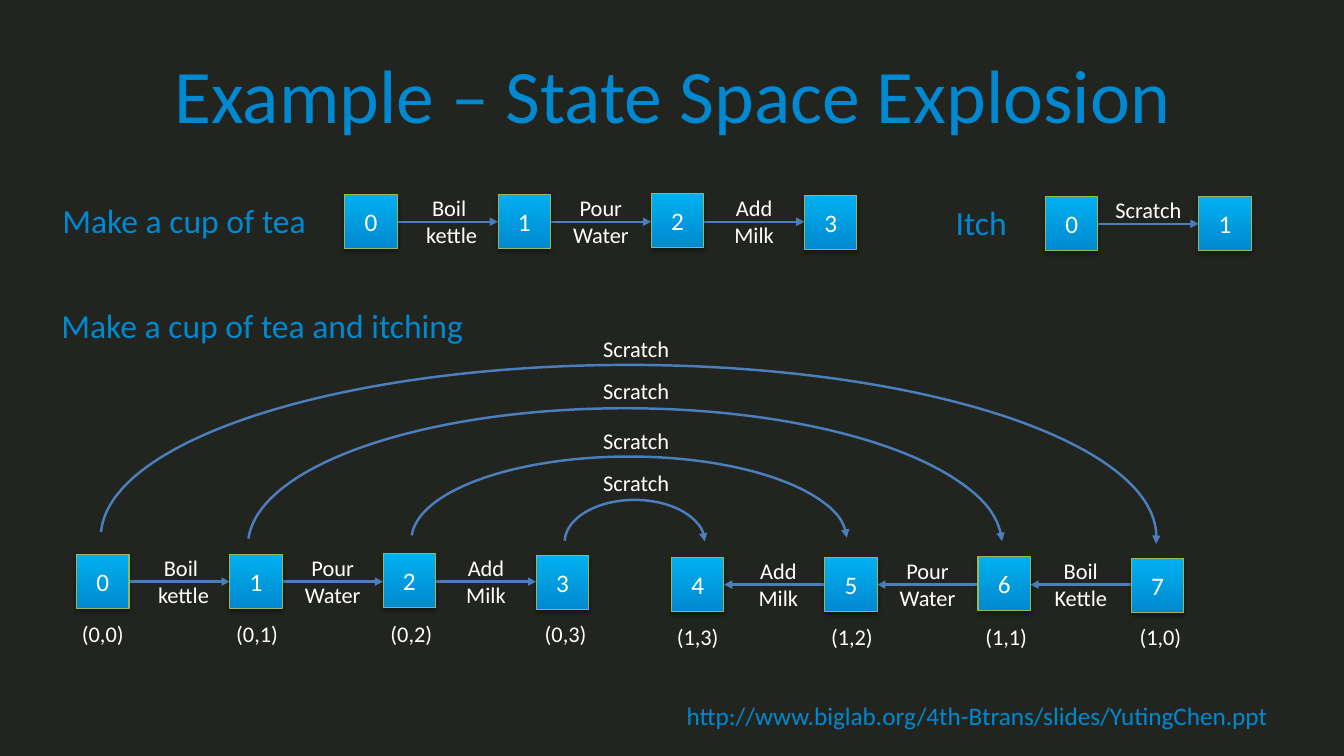
from dataclasses import dataclass

from lxml.etree import SubElement
from pptx import Presentation
from pptx.dml.color import RGBColor
from pptx.enum.shapes import MSO_CONNECTOR, MSO_SHAPE
from pptx.enum.text import MSO_ANCHOR, PP_ALIGN
from pptx.oxml.ns import qn
from pptx.util import Inches, Pt

FONT = "Calibri"
BACKGROUND = "222420"
BLUE = "0089D0"
LIGHT_BLUE = "00B0F0"
GREEN = "98B955"
ARROW_BLUE = "4B7EBC"
WHITE = "FFFFFF"
BOX_WIDTH = 0.52
BOX_HEIGHT = 0.54
STATE_PITCH = 1.52
CAPTION_PITCH = 1.53
STATE_SHIFTS = (0, 0, -0.01, 0.01)
LABEL_WIDTH = 0.86


@dataclass(frozen=True)
class Label:
    text: str
    left: float
    top: float
    width: float
    height: float
    size: float
    color: str
    align: PP_ALIGN = PP_ALIGN.LEFT
    anchor: MSO_ANCHOR = MSO_ANCHOR.TOP
    wrap: bool = False


@dataclass(frozen=True)
class Action:
    text: str
    nudge: float = 0


@dataclass(frozen=True)
class Chain:
    left: float
    top: float
    states: str
    actions: tuple[Action, ...]
    captions: tuple[str, ...] = ()
    backward: bool = False


@dataclass(frozen=True)
class ScratchArc:
    left: float
    top: float
    width: float
    height: float
    start: float
    end: float
    label_top: float


BOIL = Action("Boil \nkettle", 0.04)
POUR = Action("Pour\nWater")
ADD = Action("Add\nMilk")

LABELS = (
    Label("Example – State Space Explosion", 0.67, 0.3, 12, 1.25, 54, BLUE,
          PP_ALIGN.CENTER, MSO_ANCHOR.MIDDLE, True),
    Label("Make a cup of tea", 0.52, 1.93, 2.64, 0.5, 24, BLUE),
    Label("Itch", 9.38, 1.95, 0.71, 0.5, 24, BLUE),
    Label("Make a cup of tea and itching", 0.51, 2.98, 4.42, 0.5, 24, BLUE, wrap=True),
    Label("http://www.biglab.org/4th-Btrans/slides/YutingChen.ppt", 0.67, 6.9, 12, 0.38,
          18, BLUE, PP_ALIGN.RIGHT, wrap=True),
)

CHAINS = (
    Chain(3.42, 1.93, "0123", (BOIL, POUR, ADD)),
    Chain(10.37, 1.95, "01", (Action("Scratch"),)),
    Chain(0.76, 5.5, "0123", (BOIL, POUR, ADD), ("(0,0)", "(0,1)", "(0,2)", "(0,3)")),
    Chain(6.66, 5.53, "4567", (Action("Add\nMilk", 0.04), POUR, Action("Boil\nKettle")),
          ("(1,3)", "(1,2)", "(1,1)", "(1,0)"), True),
)

ARCS = (
    ScratchArc(1, 3.62, 10.47, 3.42, 108.35, 0.43, 3.28),
    ScratchArc(2.46, 4.05, 7.48, 2.72, 108.61, 215.61, 3.69),
    ScratchArc(4.08, 4.53, 4.32, 1.66, 108.76, 215.61, 4.19),
    ScratchArc(5.6, 4.96, 1.39, 0.84, 108.76, 215.61, 4.61),
)


def rgb(value: str) -> RGBColor:
    return RGBColor.from_string(value)


def write_text(frame, text: str, size: float, color: str, align: PP_ALIGN) -> None:
    for index, line in enumerate(text.split("\n")):
        paragraph = frame.add_paragraph() if index else frame.paragraphs[0]
        paragraph.alignment = align
        run = paragraph.add_run()
        run.text = line
        run.font.name = FONT
        run.font.size = Pt(size)
        run.font.color.rgb = rgb(color)


def draw_label(slide, label: Label) -> None:
    shape = slide.shapes.add_textbox(Inches(label.left), Inches(label.top),
                                     Inches(label.width), Inches(label.height))
    frame = shape.text_frame
    frame.word_wrap = label.wrap
    frame.vertical_anchor = label.anchor
    write_text(frame, label.text, label.size, label.color, label.align)


def draw_small_label(slide, text: str, center: float, top: float) -> None:
    height = 0.64 if "\n" in text else 0.37
    draw_label(slide, Label(text, center - LABEL_WIDTH / 2, top, LABEL_WIDTH, height,
                            16, WHITE, PP_ALIGN.CENTER))


def draw_state(slide, name: str, left: float, top: float) -> None:
    shape = slide.shapes.add_shape(MSO_SHAPE.RECTANGLE, Inches(left), Inches(top),
                                   Inches(BOX_WIDTH), Inches(BOX_HEIGHT))
    shape.fill.gradient()
    shape.fill.gradient_angle = 90
    for stop, color in zip(shape.fill.gradient_stops, (BLUE, LIGHT_BLUE)):
        stop.color.rgb = rgb(color)
    shape.line.color.rgb = rgb(GREEN)
    shape.line.width = Pt(0.75)
    shape.shadow.inherit = False
    effects = shape._element.spPr.find(qn("a:effectLst"))
    shadow = SubElement(effects, qn("a:outerShdw"), blurRad="40000", dist="23000",
                        dir="5400000", rotWithShape="0")
    shadow_color = SubElement(shadow, qn("a:srgbClr"), val="000000")
    SubElement(shadow_color, qn("a:alpha"), val="35000")
    shape.text_frame.vertical_anchor = MSO_ANCHOR.MIDDLE
    write_text(shape.text_frame, name, 18, WHITE, PP_ALIGN.CENTER)


def style_arrow(shape) -> None:
    shape.line.color.rgb = rgb(ARROW_BLUE)
    shape.line.width = Pt(1.75)
    SubElement(shape.line._get_or_add_ln(), qn("a:tailEnd"), type="triangle")


def draw_arrow(slide, start: float, end: float, height: float) -> None:
    connector = slide.shapes.add_connector(MSO_CONNECTOR.STRAIGHT, Inches(start),
                                           Inches(height), Inches(end), Inches(height))
    style_arrow(connector)
    SubElement(connector._element.spPr, qn("a:effectLst"))


def draw_chain(slide, chain: Chain) -> None:
    for index, action in enumerate(chain.actions):
        start = chain.left + BOX_WIDTH + index * STATE_PITCH
        end = chain.left + (index + 1) * STATE_PITCH
        ends = (end, start) if chain.backward else (start, end)
        draw_arrow(slide, *ends, chain.top + BOX_HEIGHT / 2)
        draw_small_label(slide, action.text, (start + end) / 2 + action.nudge,
                         chain.top - 0.05)
    for index, name in enumerate(chain.states):
        draw_state(slide, name, chain.left + index * STATE_PITCH,
                   chain.top + STATE_SHIFTS[index])
    for index, caption in enumerate(chain.captions):
        draw_small_label(slide, caption,
                         chain.left + BOX_WIDTH / 2 + index * CAPTION_PITCH,
                         chain.top + 0.6)


def draw_arc(slide, arc: ScratchArc) -> None:
    shape = slide.shapes.add_shape(MSO_SHAPE.ARC, Inches(arc.left), Inches(arc.top),
                                   Inches(arc.width), Inches(arc.height))
    shape.adjustments[0] = arc.start
    shape.adjustments[1] = arc.end
    shape.fill.background()
    style_arrow(shape)
    shape.shadow.inherit = False
    draw_small_label(slide, "Scratch", 6.31, arc.label_top)


def main() -> None:
    presentation = Presentation()
    presentation.slide_width = Inches(13.33)
    presentation.slide_height = Inches(7.5)
    slide = presentation.slides.add_slide(presentation.slide_layouts[6])
    slide.background.fill.solid()
    slide.background.fill.fore_color.rgb = rgb(BACKGROUND)
    for label in LABELS:
        draw_label(slide, label)
    for chain in CHAINS:
        draw_chain(slide, chain)
    for arc in ARCS:
        draw_arc(slide, arc)
    presentation.save("out.pptx")


if __name__ == "__main__":
    main()
